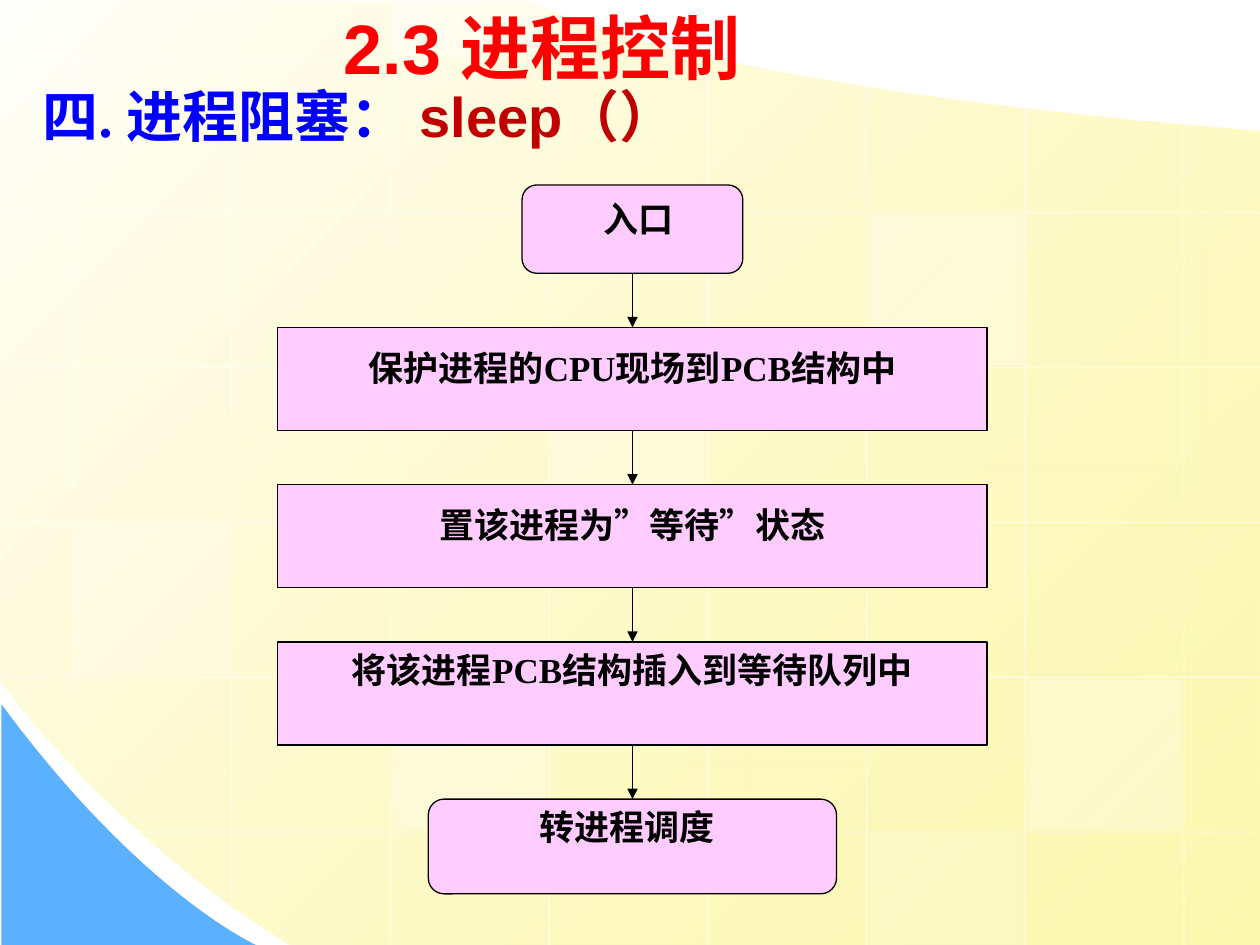
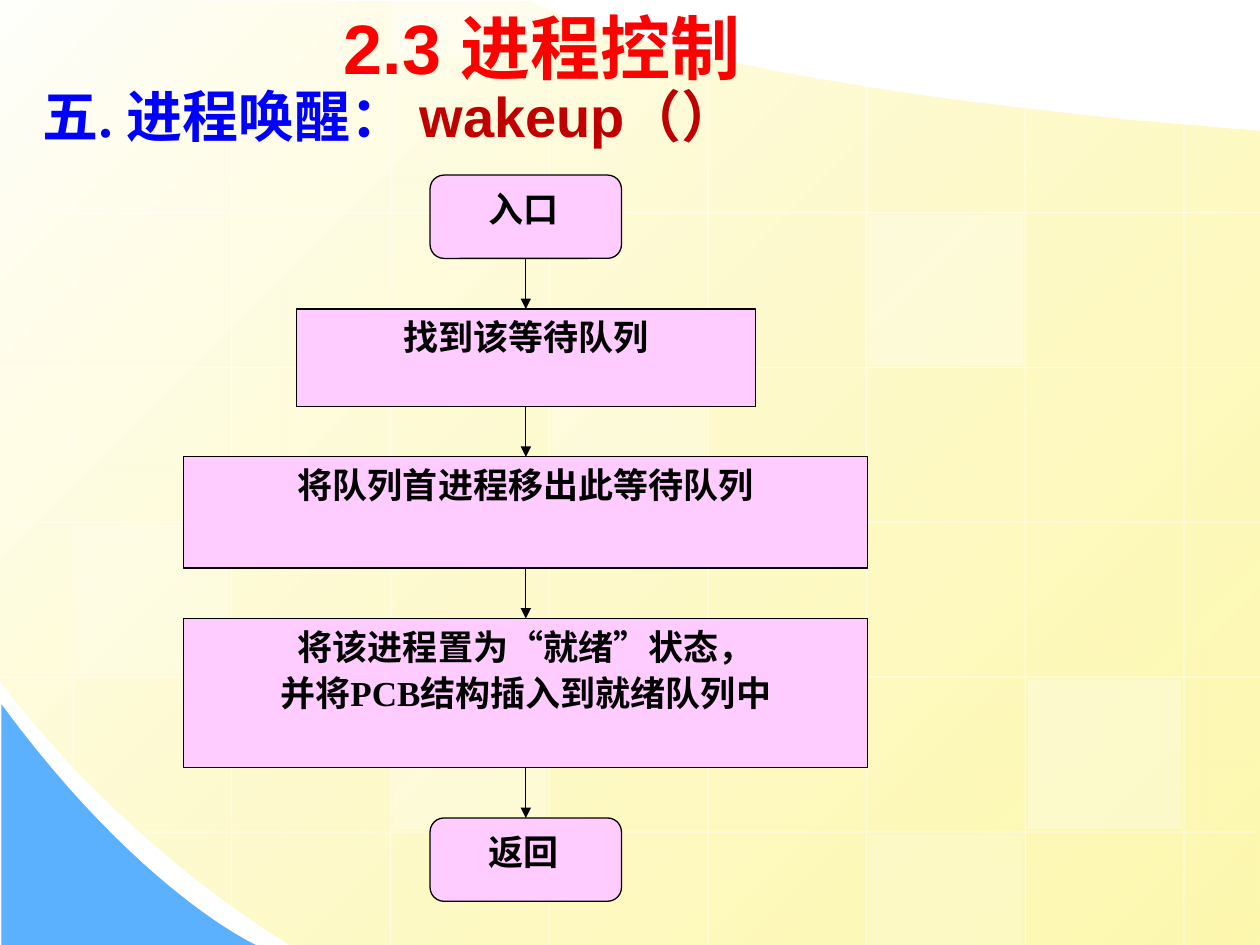
"""Build two flowchart slides on process blocking and process wake-up."""
from dataclasses import dataclass

from lxml.etree import SubElement
from pptx import Presentation
from pptx.dml.color import RGBColor
from pptx.enum.shapes import MSO_CONNECTOR, MSO_SHAPE
from pptx.enum.text import MSO_ANCHOR, MSO_AUTO_SIZE, PP_ALIGN
from pptx.oxml.ns import qn
from pptx.util import Cm, Pt


@dataclass(frozen=True)
class Theme:
    """Colours, fonts, type sizes and line width of the deck."""
    title: str = "FF0000"
    heading: str = "0000FF"
    call: str = "C00000"
    ink: str = "000000"
    box: str = "FFCCFF"
    white: str = "FFFFFF"
    corner: str = "5CB1FE"
    sky_light: str = "FFFFFB"
    sky_deep: str = "FDF58D"
    sans: str = "Arial"
    serif: str = "Times New Roman"
    title_size: int = 40
    heading_size: int = 32
    step_size: int = 20
    line_width: float = 0.75


@dataclass(frozen=True)
class Step:
    """One box of a flowchart, measured in centimetres."""
    text: str
    width: float
    height: float
    rounded: bool = False
    spacing: float = 1.0
    top_inset: float = 0.13
    shift: float = 0


THEME = Theme()
SLIDE_WIDTH, SLIDE_HEIGHT = 25.4, 19.05
TITLE = "2.3 进程控制"

FLOWS = [
    {
        "heading": "四. 进程阻塞： ", "call": "sleep（）", "heading_width": 22.5,
        "centre": 12.75, "top": 3.73, "gap": 1.09,
        "steps": [
            Step("入口", 4.45, 1.78, rounded=True, top_inset=0.17, shift=0.13),
            Step("保护进程的CPU现场到PCB结构中", 14.3, 2.08, spacing=1.3),
            Step("置该进程为”等待”状态", 14.3, 2.08, spacing=1.3),
            Step("将该进程PCB结构插入到等待队列中", 14.3, 2.08),
            Step("转进程调度", 8.23, 1.91, rounded=True, top_inset=0.04, shift=-0.11),
        ],
    },
    {
        "heading": "五. 进程唤醒： ", "call": "wakeup（）", "heading_width": 17.7,
        "centre": 10.6, "top": 3.53, "gap": 1.02,
        "steps": [
            Step("入口", 3.86, 1.68, rounded=True, top_inset=0.17, shift=-0.05),
            Step("找到该等待队列", 9.25, 1.96),
            Step("将队列首进程移出此等待队列", 13.79, 2.24),
            Step("将该进程置为“就绪”状态，\n并将PCB结构插入到就绪队列中", 13.79, 3.0),
            Step("返回", 3.86, 1.68, rounded=True, top_inset=0.17, shift=-0.05),
        ],
    },
]

SKY_OUTLINE = [
    (25.4, 2.64), (25.4, 19.05), (5.84, 19.05),
    ((2.18, 16.79), (-0.03, 13.69), (0, 13.69)),
    (0, 0), (10.69, 0.03),
    ((10.69, 0.03), (13.64, 1.75), (25.4, 2.64)),
]
CORNER_OUTLINE = [
    (0.03, 14.2), (0.03, 19.05), (5.16, 19.05),
    ((5.16, 19.05), (2.84, 18.01), (0.03, 14.2)),
]
GRID_LEFT, GRID_TOP = 1.47, 1.17
COLUMN_PITCH, ROW_PITCH = 3.2, 3.12
COLUMN_SPANS = [(0, 15.47), (0, 18.26), (0, 19.05), (0, 19.05),
                (1.09, 19.05), (1.73, 19.05), (2.16, 19.05), (2.49, 19.05)]
ROW_SPANS = [(0, 14.43)] + [(0, SLIDE_WIDTH)] * 4 + [(2.82, 25.32)]
TILES = [(3, 2, 25), (6, 4, 30), (0, 3, 20), (5, 5, 20),
         (2, -1, 40), (2, 4, 30), (5, 1, 30)]
TILE_MARGIN = 0.05


def colour(code):
    """Return an RGB colour for a hex code."""
    return RGBColor.from_string(code)


def set_opacity(shape, percent):
    """Make the last colour of a shape partly transparent."""
    last_colour = list(shape.element.spPr.iter(qn("a:srgbClr")))[-1]
    SubElement(last_colour, qn("a:alpha"), val=str(percent * 1000))


def style_font(font, name, size, code):
    """Apply a bold font."""
    font.name, font.size, font.bold = name, Pt(size), True
    font.color.rgb = colour(code)


def add_line(slide, start, end, code):
    """Add a straight line without a shadow."""
    line = slide.shapes.add_connector(
        MSO_CONNECTOR.STRAIGHT, *(Cm(value) for value in (*start, *end)))
    line.line.color.rgb = colour(code)
    line.line.width = Pt(THEME.line_width)
    SubElement(line.element.spPr, qn("a:effectLst"))
    return line


def add_arrow(slide, start, end):
    """Add a line that ends in a triangle."""
    arrow = add_line(slide, start, end, THEME.ink)
    SubElement(arrow.line._get_or_add_ln(), qn("a:tailEnd"), type="triangle")


def trace(outline, samples=24):
    """Turn corner points and Bezier triples into plain points."""
    points = []
    for part in outline:
        if not isinstance(part[0], tuple):
            points.append(part)
            continue
        controls = (points[-1], *part)
        for sample in range(1, samples + 1):
            t = sample / samples
            weights = ((1 - t) ** 3, 3 * t * (1 - t) ** 2, 3 * t * t * (1 - t), t ** 3)
            points.append(tuple(
                sum(weight * point[axis] for weight, point in zip(weights, controls))
                for axis in (0, 1)))
    return [(Cm(x), Cm(y)) for x, y in points]


def add_outline(slide, outline):
    """Add a closed freeform without line or shadow."""
    first, *others = trace(outline)
    builder = slide.shapes.build_freeform(*first)
    builder.add_line_segments(others, close=True)
    shape = builder.convert_to_shape()
    shape.shadow.inherit = False
    shape.line.fill.background()
    return shape


def draw_backdrop(slide):
    """Draw the yellow field, the blue corner, the grid and its tiles."""
    sky = add_outline(slide, SKY_OUTLINE)
    sky.fill.gradient()
    sky.fill.gradient_angle = 315
    for stop, code in zip(sky.fill.gradient_stops, (THEME.sky_light, THEME.sky_deep)):
        stop.color.rgb = colour(code)
    set_opacity(sky, 70)
    corner = add_outline(slide, CORNER_OUTLINE)
    corner.fill.solid()
    corner.fill.fore_color.rgb = colour(THEME.corner)

    columns = [GRID_LEFT + COLUMN_PITCH * index for index in range(len(COLUMN_SPANS))]
    rows = [GRID_TOP + ROW_PITCH * index for index in range(len(ROW_SPANS))]
    ends = [((x, top), (x, bottom)) for x, (top, bottom) in zip(columns, COLUMN_SPANS)]
    ends += [((left, y), (right, y)) for y, (left, right) in zip(rows, ROW_SPANS)]
    for start, end in ends:
        set_opacity(add_line(slide, start, end, THEME.white), 50)

    for column, row, opacity in TILES:
        top = max(0, GRID_TOP + ROW_PITCH * row + TILE_MARGIN)
        bottom = min(SLIDE_HEIGHT, GRID_TOP + ROW_PITCH * (row + 1) - TILE_MARGIN)
        tile = slide.shapes.add_shape(
            MSO_SHAPE.RECTANGLE, Cm(columns[column] + TILE_MARGIN), Cm(top),
            Cm(COLUMN_PITCH - 2 * TILE_MARGIN), Cm(bottom - top))
        tile.shadow.inherit = False
        tile.line.fill.background()
        tile.fill.solid()
        tile.fill.fore_color.rgb = colour(THEME.white)
        set_opacity(tile, opacity)


def move_to_layout(slide):
    """Move the drawn shapes behind the placeholders of the layout."""
    target = slide.slide_layout.shapes.element
    drawn = [shape for shape in slide.shapes if not shape.is_placeholder]
    for index, shape in enumerate(drawn):
        next(shape.element.iter(qn("p:cNvPr"))).set("id", str(100 + index))
        target.insert(2 + index, shape.element)


def add_titles(slide, flow):
    """Fill the title and the two-coloured heading."""
    title = slide.shapes.title
    title.left, title.top, title.width, title.height = Cm(6.68), Cm(-0.08), Cm(12.83), Cm(2.03)
    frame = title.text_frame
    frame.text = TITLE
    frame.auto_size = MSO_AUTO_SIZE.NONE
    frame.vertical_anchor = MSO_ANCHOR.MIDDLE
    frame.paragraphs[0].alignment = PP_ALIGN.LEFT
    style_font(frame.paragraphs[0].font, THEME.sans, THEME.title_size, THEME.title)

    heading = slide.shapes.add_textbox(Cm(0.61), Cm(1.52), Cm(flow["heading_width"]), Cm(1.6))
    heading.text_frame.word_wrap = True
    paragraph = heading.text_frame.paragraphs[0]
    for text, name, code in ((flow["heading"], THEME.serif, THEME.heading),
                             (flow["call"], THEME.sans, THEME.call)):
        run = paragraph.add_run()
        run.text = text
        style_font(run.font, name, THEME.heading_size, code)


def add_step(slide, step, centre, top):
    """Add one flowchart box with its text at the top."""
    kind = MSO_SHAPE.ROUNDED_RECTANGLE if step.rounded else MSO_SHAPE.RECTANGLE
    box = slide.shapes.add_shape(
        kind, Cm(centre - step.width / 2), Cm(top), Cm(step.width), Cm(step.height))
    box.shadow.inherit = False
    box.fill.solid()
    box.fill.fore_color.rgb = colour(THEME.box)
    box.line.color.rgb = colour(THEME.ink)
    box.line.width = Pt(THEME.line_width)
    frame = box.text_frame
    frame.text = step.text
    frame.word_wrap = True
    frame.vertical_anchor = MSO_ANCHOR.TOP
    frame.margin_top = Cm(step.top_inset)
    frame.margin_left = Cm(0.25 + step.shift)
    frame.margin_right = Cm(0.25 - step.shift)
    for index, paragraph in enumerate(frame.paragraphs):
        paragraph.alignment = PP_ALIGN.CENTER
        paragraph.line_spacing = step.spacing
        if index:
            paragraph.space_before = Pt(2.5)
        style_font(paragraph.font, THEME.serif, THEME.step_size, THEME.ink)


def add_flow(slide, flow):
    """Stack the steps with equal gaps and join them with arrows."""
    centre, top, gap = flow["centre"], flow["top"], flow["gap"]
    for index, step in enumerate(flow["steps"]):
        if index:
            add_arrow(slide, (centre, top), (centre, top + gap))
            top += gap
        add_step(slide, step, centre, top)
        top += step.height


def main():
    """Build and save the presentation."""
    presentation = Presentation()
    presentation.slide_width, presentation.slide_height = Cm(SLIDE_WIDTH), Cm(SLIDE_HEIGHT)
    title_only = presentation.slide_layouts[5]
    for index, flow in enumerate(FLOWS):
        slide = presentation.slides.add_slide(title_only)
        if index == 0:
            draw_backdrop(slide)
            move_to_layout(slide)
        add_titles(slide, flow)
        add_flow(slide, flow)
    presentation.save("out.pptx")


if __name__ == "__main__":
    main()
